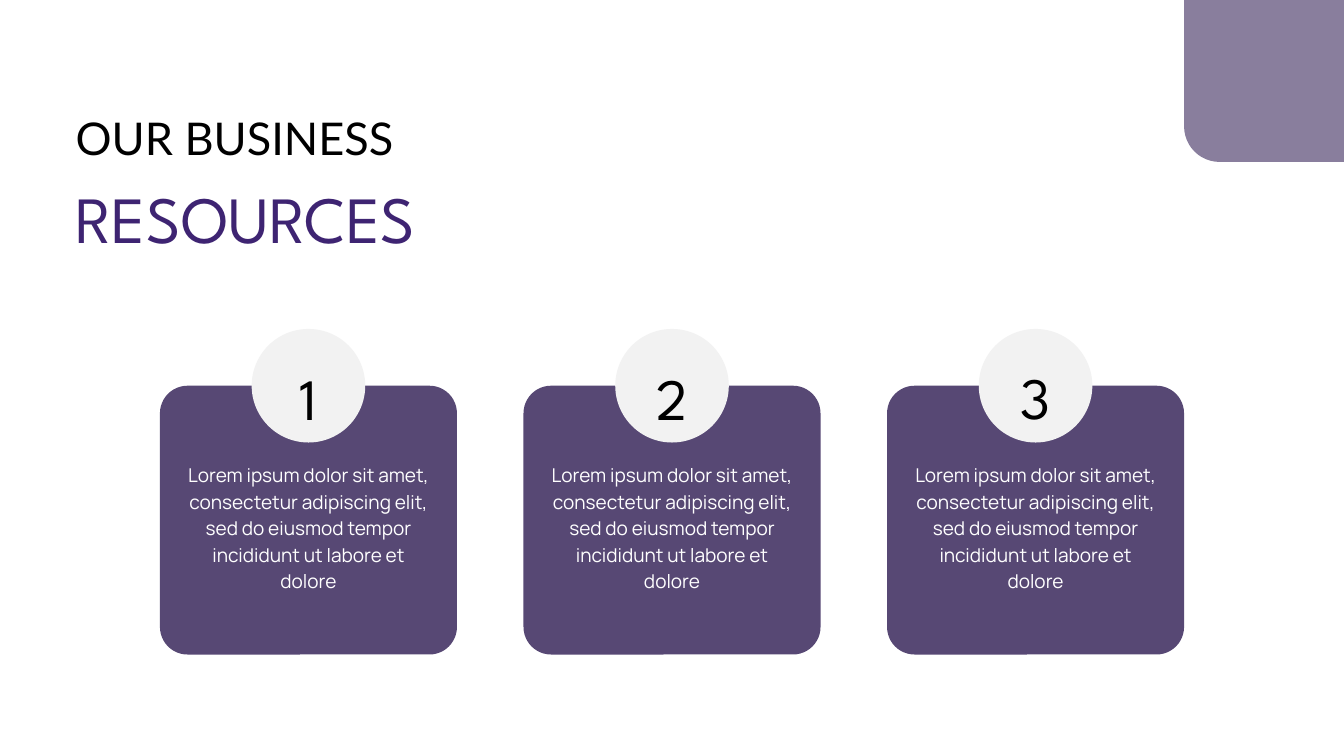
from lxml import etree
from pptx import Presentation
from pptx.dml.color import RGBColor
from pptx.enum.shapes import MSO_SHAPE
from pptx.enum.text import PP_ALIGN
from pptx.oxml.ns import qn
from pptx.util import Inches, Pt

ROUNDED, OVAL = MSO_SHAPE.ROUNDED_RECTANGLE, MSO_SHAPE.OVAL
LEFT, CENTER = PP_ALIGN.LEFT, PP_ALIGN.CENTER
PURPLE = RGBColor(0x57, 0x48, 0x74)
VIOLET = RGBColor(0x3E, 0x24, 0x72)
GRAY = RGBColor(0xF2, 0xF2, 0xF2)
BLACK = RGBColor(0, 0, 0)
WHITE = RGBColor(0xFF, 0xFF, 0xFF)

SLIDE_W, SLIDE_H = 20, 11.25
CARD_W, CARD_H, CARD_TOP, CARD_STEP = 4.42, 4, 5.74, 5.41
BADGE = 1.69
BODY = ("Lorem ipsum dolor sit amet, consectetur adipiscing elit, "
        "sed do eiusmod tempor incididunt ut labore et dolore")
CARDS = [("1", BODY, 0), ("2", BODY, 0), ("3", BODY, -0.02)]


def add_shape(slide, kind, x, y, w, h, color, radius=None, alpha=None):
    """Add a flat filled shape, optionally rounded by radius and see-through."""
    sp = slide.shapes.add_shape(kind, Inches(x), Inches(y), Inches(w), Inches(h))
    sp.shadow.inherit = False
    sp.fill.solid()
    sp.fill.fore_color.rgb = color
    sp.line.fill.background()
    if radius is not None:
        sp.adjustments[0] = radius / min(w, h)
    if alpha is not None:
        clr = sp._element.spPr.find(qn("a:solidFill"))[0]
        etree.SubElement(clr, qn("a:alpha"), val=str(alpha * 1000))


def add_text(slide, text, x, y, w, h, *, font, size, leading, color, align=LEFT):
    """Add a wrapped text box without margins."""
    tf = slide.shapes.add_textbox(Inches(x), Inches(y), Inches(w), Inches(h)).text_frame
    tf.word_wrap = True
    tf.margin_left = tf.margin_right = tf.margin_top = tf.margin_bottom = 0
    p = tf.paragraphs[0]
    p.alignment = align
    p.line_spacing = Pt(leading)
    r = p.add_run()
    r.text = text
    r.font.name = font
    r.font.size = Pt(size)
    r.font.color.rgb = color


def add_title(slide, x, y):
    """Place the two-line heading from its top left corner."""
    add_text(slide, "OUR BUSINESS", x, y, 6.53, 0.9,
             font="Lato", size=48.3, leading=67.7, color=BLACK)
    add_text(slide, "RESOURCES", x, y + 0.93, 7.28, 1.31,
             font="League Spartan", size=70.7, leading=99, color=VIOLET)


def add_card(slide, x, y, w, h, number, body, shift):
    """Place a card with a badge centred on its top edge."""
    mid = x + w / 2
    add_shape(slide, ROUNDED, x, y, w, h, PURPLE, radius=0.41)
    add_shape(slide, OVAL, mid - BADGE / 2, y - BADGE / 2, BADGE, BADGE, GRAY)
    add_text(slide, number, mid - 0.61, y - 0.52 + shift, 1.23, 1.17, align=CENTER,
             font="League Spartan", size=62.7, leading=87.7, color=BLACK)
    add_text(slide, body, x + 0.4, y + 1.1, w - 0.8, 2.38, align=CENTER,
             font="Manrope", size=20.4, leading=28.5, color=WHITE)


def add_corner(slide, x, bottom, size):
    """Place the translucent square that runs off the top right corner."""
    add_shape(slide, ROUNDED, x, bottom - size, size, size, PURPLE,
              radius=0.53, alpha=70)


def main():
    """Build and save the slide."""
    prs = Presentation()
    prs.slide_width, prs.slide_height = Inches(SLIDE_W), Inches(SLIDE_H)
    slide = prs.slides.add_slide(prs.slide_layouts[6])
    row_w = CARD_STEP * (len(CARDS) - 1) + CARD_W
    row_x = (SLIDE_W - row_w) / 2
    add_corner(slide, row_x + row_w, 2.41, 3.38)
    add_title(slide, 1.125, 1.51)
    for i, card in enumerate(CARDS):
        add_card(slide, row_x + i * CARD_STEP, CARD_TOP, CARD_W, CARD_H, *card)
    prs.save("out.pptx")


if __name__ == "__main__":
    main()
